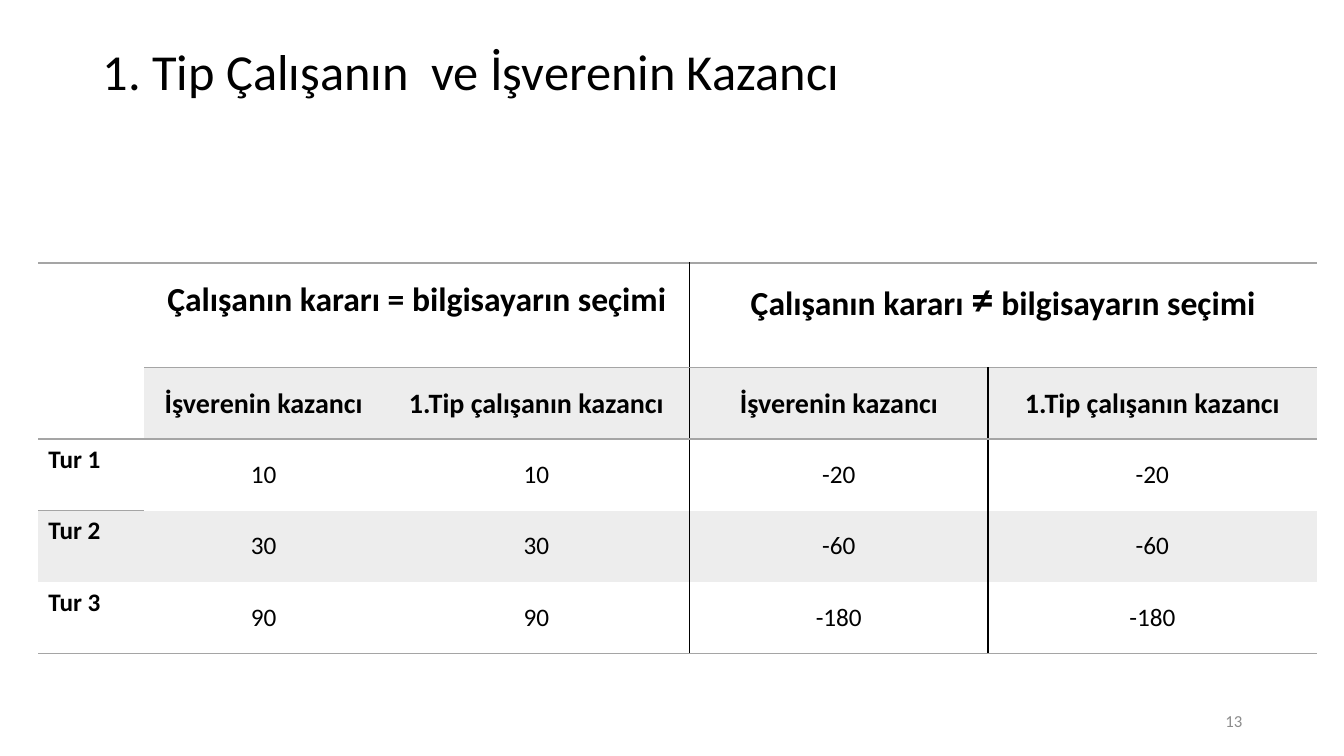
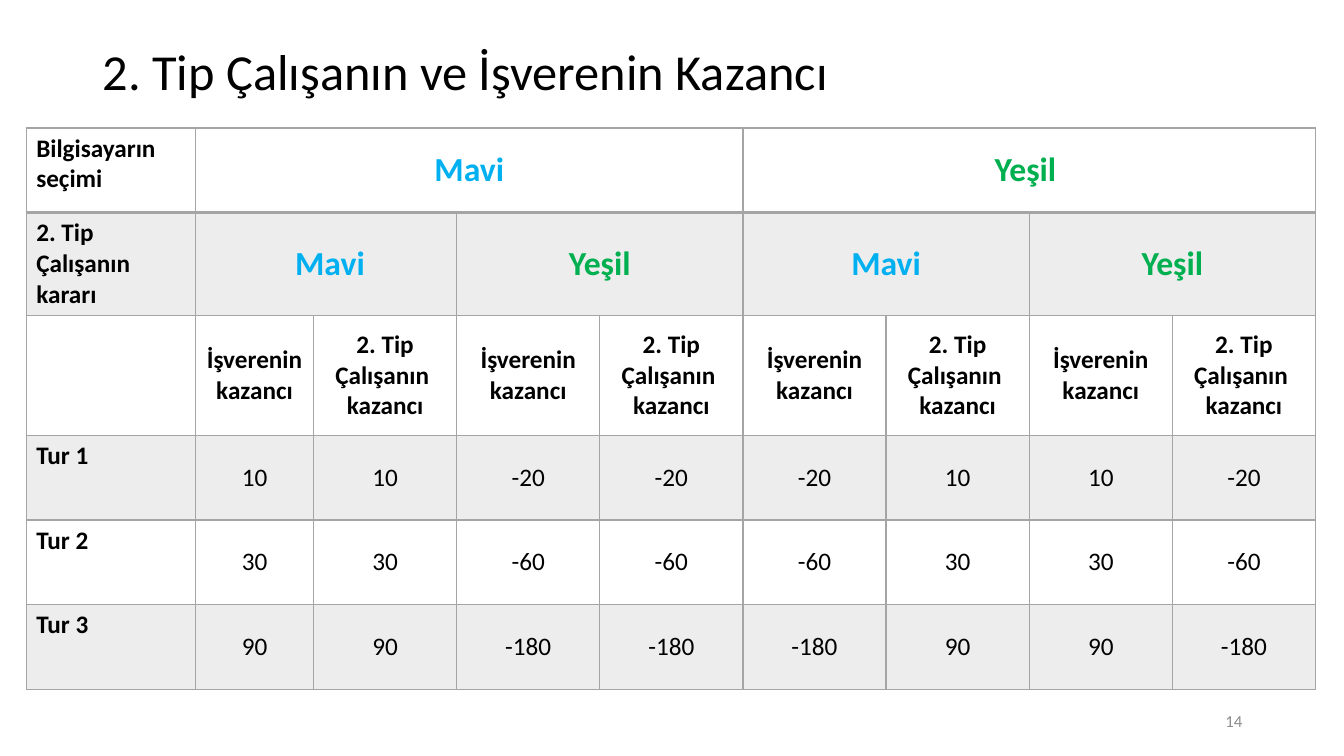
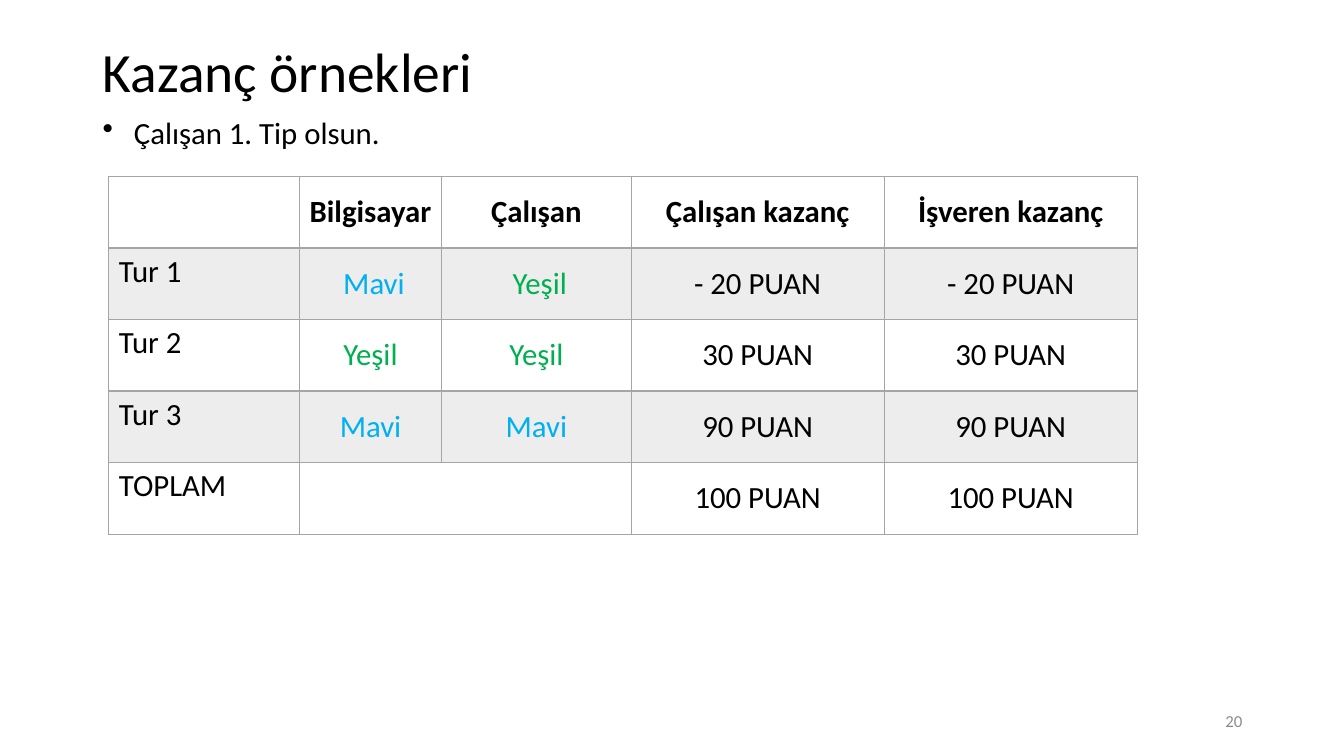
from lxml.etree import SubElement as Sub
from pptx import Presentation
from pptx.dml.color import RGBColor as RGB
from pptx.enum.text import MSO_ANCHOR as Anchor, PP_ALIGN as Align
from pptx.oxml.ns import qn
from pptx.util import Inches, Pt

# Shared look
FONT = "Calibri"
BLACK = RGB(0x00, 0x00, 0x00)
GREY = RGB(0xA5, 0xA5, 0xA5)
SHADE = RGB(0xED, 0xED, 0xED)
MUTED = RGB(0x8C, 0x8C, 0x8C)
TINTS = {"Mavi": RGB(0x00, 0xB0, 0xF0), "Yeşil": RGB(0x00, 0xB0, 0x50)}
NO_STYLE = "{2D5ABB26-0587-4C30-8999-92F81FD0307C}"
SIGN, SIGN_SIZE = "≠", 32


def open_lines(row, col):
    """Grey rules around the head and foot, black rules between columns."""
    lines = {}
    if row == 0 or (row, col > 0) == (1, True) or (row, col) == (2, 0):
        lines["T"] = (GREY, 1)
    if row in (0, 4):
        lines["B"] = (GREY, 1)
    split = (3,) if row == 0 else (3, 4)
    if col in split:
        lines["L"] = (BLACK, 1)
    if col + 1 in split or (row, col) == (0, 1):
        lines["R"] = (BLACK, 1)
    return lines


def grid_lines(row, col):
    """A full grey grid with a heavier rule under the first row."""
    lines = {side: (GREY, 1) for side in "LRTB"}
    if row < 2:
        lines["B" if row == 0 else "T"] = (GREY, 2)
    return lines


# Content; spans are (row, column, last row, last column)
BOSS = "İşverenin kazancı"
FIRST = "1.Tip çalışanın kazancı"
SECOND = "2. Tip Çalışanın  kazancı"

SLIDES = [
    dict(
        title="1. Tip Çalışanın  ve İşverenin Kazancı", size=36, number="13",
        at=(0.38, 2.61), cols=[1.05, 2.37, 3.04, 2.96, 3.26],
        heights=[1.04, 0.65, 0.71, 0.71, 0.71],
        sizes=[24, 20, 18, 18, 18], side=18, heads=2, bold_side=True,
        lines=open_lines, foot=0.35,
        spans=[(0, 0, 1, 0), (0, 1, 0, 2), (0, 3, 0, 4)],
        rows=[
            ["", "Çalışanın kararı = bilgisayarın seçimi", "",
             "Çalışanın kararı ≠ bilgisayarın seçimi", ""],
            ["", BOSS, FIRST, BOSS, FIRST],
            ["Tur 1", "10", "10", "-20", "-20"],
            ["Tur 2", "30", "30", "-60", "-60"],
            ["Tur 3", "90", "90", "-180", "-180"],
        ],
    ),
    dict(
        title="2. Tip Çalışanın ve İşverenin Kazancı", size=36, number="14",
        at=(0.26, 1.27), cols=[1.68, 1.17] + [1.42] * 7,
        heights=[0.84, 1.02, 1.19, 0.84, 0.84, 0.84],
        sizes=[24, 24, 18, 18, 18, 18], side=18, heads=3, bold_side=True,
        lines=grid_lines, foot=0.05,
        spans=[(0, 1, 0, 4), (0, 5, 0, 8)]
        + [(1, col, 1, col + 1) for col in (1, 3, 5, 7)],
        rows=[
            ["Bilgisayarın seçimi", " Mavi ", "", "", "", "Yeşil ", "", "", ""],
            ["2. Tip Çalışanın kararı", " Mavi", "", "Yeşil", "",
             "Mavi", "", "Yeşil", ""],
            [""] + [BOSS, SECOND] * 4,
            ["Tur 1", "10", "10", "-20", "-20", "-20", "10", "10", "-20"],
            ["Tur 2", "30", "30", "-60", "-60", "-60", "30", "30", "-60"],
            ["Tur 3", "90", "90", "-180", "-180", "-180", "90", "90", "-180"],
        ],
    ),
    dict(
        title="Kazanç örnekleri", size=39.6, number="20",
        bullet="Çalışan 1. Tip olsun.",
        at=(1.08, 1.75), cols=[1.89, 1.41, 1.88, 2.51, 2.51],
        heights=[0.71] * 5,
        sizes=[22] * 5, side=22, heads=1, bold_side=False,
        lines=grid_lines, foot=0.05,
        spans=[(4, 1, 4, 2)],
        rows=[
            ["", "Bilgisayar", "Çalışan", "Çalışan kazanç", "İşveren kazanç"],
            ["Tur 1", " Mavi", " Yeşil", "- 20 PUAN", "- 20 PUAN"],
            ["Tur 2", "Yeşil", "Yeşil", "30 PUAN", "30 PUAN"],
            ["Tur 3", "Mavi", "Mavi", "90 PUAN", "90 PUAN"],
            ["TOPLAM", "", "", "100 PUAN", "100 PUAN"],
        ],
    ),
]


def write(frame, text, size, color=BLACK, bold=False, align=Align.LEFT):
    para = frame.paragraphs[0]
    para.alignment = align
    font = para.font
    font.name, font.size, font.bold = FONT, Pt(size), bold
    font.color.rgb = color
    for part in text.partition(SIGN):
        if part:
            run = para.add_run()
            run.text = part
            if part == SIGN:
                run.font.size = Pt(SIGN_SIZE)
    return para


def add_text(slide, box, text, size, anchor=Anchor.MIDDLE, **look):
    frame = slide.shapes.add_textbox(*map(Inches, box)).text_frame
    frame.word_wrap = True
    frame.vertical_anchor = anchor
    return write(frame, text, size, **look)


def add_bullet(slide, text):
    para = add_text(slide, (0.92, 1.08, 11.5, 0.47), text, 22, Anchor.TOP)
    props = para._p.get_or_add_pPr()
    props.set("marL", str(Inches(0.31)))
    props.set("indent", str(-Inches(0.31)))
    mark = props.makeelement(qn("a:buChar"), {"char": "•"})
    props.find(qn("a:defRPr")).addprevious(mark)


def set_lines(cell, lines):
    props = cell._tc.get_or_add_tcPr()
    sides = [side for side in "LRTB" if side in lines]
    for index, side in enumerate(sides):
        color, width = lines[side]
        line = props.makeelement(qn("a:ln" + side), {"w": str(Pt(width))})
        fill = Sub(line, qn("a:solidFill"))
        Sub(fill, qn("a:srgbClr")).set("val", str(color))
        props.insert(index, line)


def add_grid(slide, data):
    cols, heights = data["cols"], data["heights"]
    box = (*data["at"], sum(cols), sum(heights))
    table = slide.shapes.add_table(
        len(heights), len(cols), *map(Inches, box)).table
    table.first_row = table.horz_banding = False
    table._tbl.tblPr.find(qn("a:tableStyleId")).text = NO_STYLE
    for col, width in zip(table.columns, cols):
        col.width = Inches(width)
    for row, height in zip(table.rows, heights):
        row.height = Inches(height)
    for top, left, low, right in data["spans"]:
        table.cell(top, left).merge(table.cell(low, right))

    for row, texts in enumerate(data["rows"]):
        for col, text in enumerate(texts):
            cell = table.cell(row, col)
            if cell.is_spanned:
                continue
            # Every second row is shaded
            if row % 2:
                cell.fill.solid()
                cell.fill.fore_color.rgb = SHADE
            else:
                cell.fill.background()
            set_lines(cell, data["lines"](row, col))
            if row == 0:
                cell.margin_bottom = Inches(data["foot"])
            side = col == 0
            cell.vertical_anchor = Anchor.TOP if side else Anchor.MIDDLE
            write(cell.text_frame, text,
                  data["side"] if side else data["sizes"][row],
                  TINTS.get(text.strip(), BLACK),
                  row < data["heads"] or (side and data["bold_side"]),
                  Align.LEFT if side else Align.CENTER)


def main():
    deck = Presentation()
    deck.slide_width, deck.slide_height = Inches(13.33), Inches(7.5)
    for data in SLIDES:
        slide = deck.slides.add_slide(deck.slide_layouts[6])
        add_grid(slide, data)
        title = add_text(slide, (0.92, 0.4, 11.5, 0.68),
                         data["title"], data["size"])
        title.line_spacing = 0.9
        if "bullet" in data:
            add_bullet(slide, data["bullet"])
        add_text(slide, (9.42, 6.95, 3, 0.4), data["number"], 12,
                 color=MUTED, align=Align.RIGHT)
    deck.save("out.pptx")


if __name__ == "__main__":
    main()
